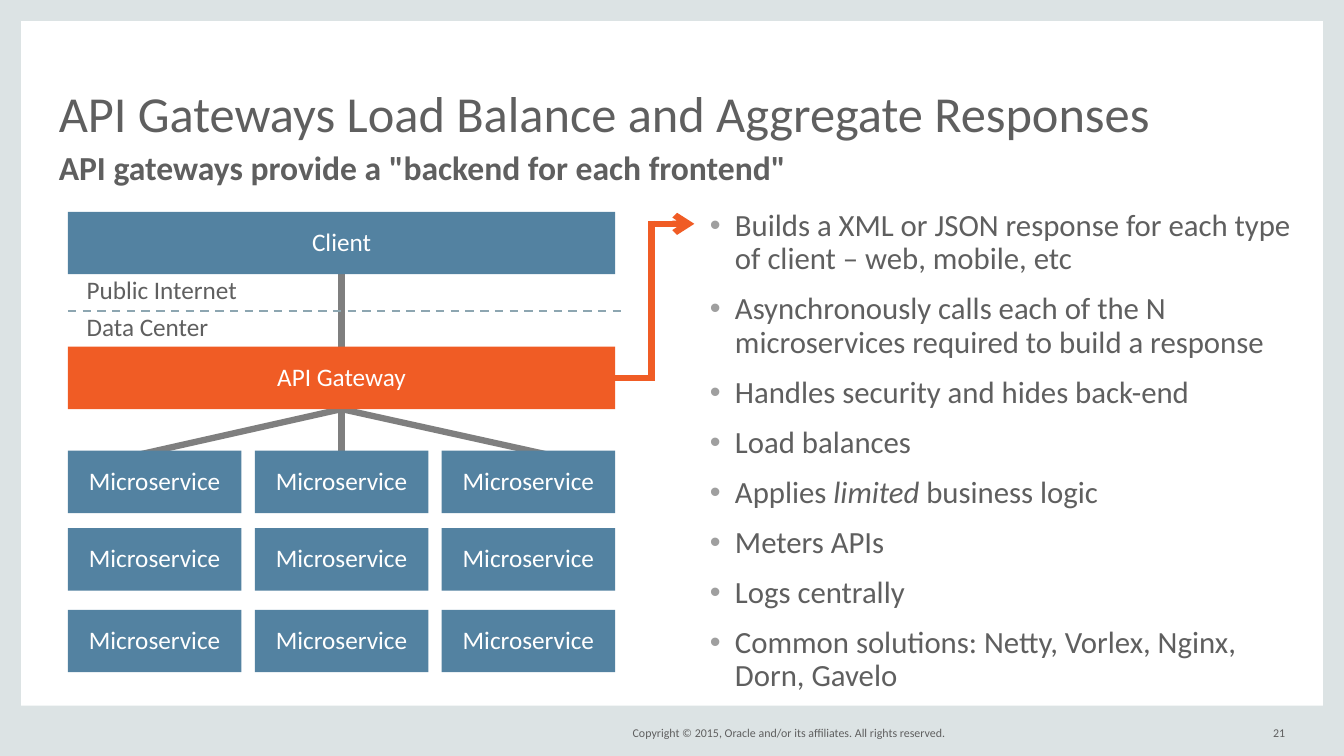
import pptx
import pptx.util
import pptx.dml.color
import pptx.enum.dml
import pptx.enum.shapes
import pptx.enum.text
import pptx.oxml.ns
from dataclasses import dataclass
from lxml import etree

Pt = pptx.util.Pt
Align = pptx.enum.text.PP_ALIGN
Anchor = pptx.enum.text.MSO_ANCHOR


@dataclass(frozen=True)
class Theme:
    """Colours, font and type sizes of the deck."""
    font: str = "Calibri"
    text: str = "5F5F5F"
    white: str = "FFFFFF"
    edge: str = "DCE3E4"
    blue: str = "5382A1"
    orange: str = "F05C25"
    grey: str = "7F7F7F"
    dash: str = "8DA6B1"
    dot: str = "9F9F9F"
    title: float = 36
    sub: float = 24
    body: float = 22
    label: float = 18
    foot: float = 8.5
    thick: float = 4.5
    thin: float = 1.5


THEME = Theme()
POINTS = (
    "Builds a XML or JSON response for each type of client – web, mobile, etc",
    "Asynchronously calls each of the N microservices required to build a response",
    "Handles security and hides back-end",
    "Load balances",
    "Applies *limited* business logic",
    "Meters APIs",
    "Logs centrally",
    "Common solutions: Netty, Vorlex, Nginx, Dorn, Gavelo",
)


def rgb(code):
    """Turn a hex code into a colour."""
    return pptx.dml.color.RGBColor.from_string(code)


def child(node, tag, **attrs):
    """Append a drawing element to a node."""
    return etree.SubElement(node, pptx.oxml.ns.qn(tag), **attrs)


def style(para, size, color, space=None, bold=False):
    """Format the runs and line spacing of a paragraph."""
    if space:
        para.line_spacing = space
    for run in para.runs:
        run.font.name = THEME.font
        run.font.size = Pt(size)
        run.font.bold = bold
        run.font.color.rgb = rgb(color)


def write(slide, box, text, size, space=None, bold=False, wrap=True,
          anchor=Anchor.TOP, align=Align.LEFT, inset=(0, 0)):
    """Place one line of text in a box."""
    frame = slide.shapes.add_textbox(*map(Pt, box)).text_frame
    frame.word_wrap = wrap
    frame.vertical_anchor = anchor
    frame.margin_left = frame.margin_right = Pt(inset[0])
    frame.margin_top = frame.margin_bottom = Pt(inset[1])
    frame.text = text
    para = frame.paragraphs[0]
    para.alignment = align
    style(para, size, THEME.text, space, bold)


def block(slide, box, color, text=""):
    """Draw a filled rectangle, with centred text if given."""
    kind = pptx.enum.shapes.MSO_SHAPE.RECTANGLE
    shape = slide.shapes.add_shape(kind, *map(Pt, box))
    shape.shadow.inherit = False
    shape.fill.solid()
    shape.fill.fore_color.rgb = rgb(color)
    shape.line.fill.background()
    if text:
        frame = shape.text_frame
        frame.vertical_anchor = Anchor.MIDDLE
        frame.text = text
        frame.paragraphs[0].alignment = Align.CENTER
        style(frame.paragraphs[0], THEME.label, THEME.white, 0.9)
    return shape


def link(slide, start, end, color, width=THEME.thick):
    """Draw a straight line between two points."""
    kind = pptx.enum.shapes.MSO_CONNECTOR.STRAIGHT
    line = slide.shapes.add_connector(kind, *map(Pt, start + end))
    line.line.color.rgb = rgb(color)
    line.line.width = Pt(width)
    child(line._element.spPr, "a:effectLst")
    return line


def border(slide, box):
    """Draw the pale frame and the footer."""
    x, y, w, h = box
    side, foot = 15, 36
    for part in ((x, y, side, h), (x + w - side, y, side, h),
                 (x, y + h - foot, w, foot), (x, y, w, side)):
        block(slide, part, THEME.edge)
    note = "Copyright © 2015, Oracle and/or its affiliates. All rights reserved."
    for left, wide, text in ((423.4, 252, note), (888, 30, "21")):
        write(slide, (x + left, y + h - 23.8, wide, 14.4), text, THEME.foot,
              wrap=False, anchor=Anchor.MIDDLE, align=Align.RIGHT)


def header(slide, box):
    """Write the title and the subtitle."""
    x, y, w, h = box
    write(slide, (x, y, w, 70), "API Gateways Load Balance and Aggregate Responses",
          THEME.title, 0.8, anchor=Anchor.BOTTOM)
    write(slide, (x, y + h - 27, w, 27),
          'API gateways provide a "backend for each frontend"',
          THEME.sub, 0.9, bold=True)


def diagram(slide, box):
    """Draw the client, the gateway and the grid of services."""
    x, y, w, h = box
    tall, wide, gate, split = 44.6, 124, 96.3, 70.6
    pitch, mid = (w - wide) / 2, x + w / 2
    rows = (170.6, 226, h - tall)
    foot = gate + tall
    trunk = link(slide, (mid, y + tall), (mid, y + gate), THEME.grey)
    fan = [link(slide, (mid, y + foot), (mid + dx, y + rows[0] + 3), THEME.grey)
           for dx in (-145.5, 0, 148)]
    rule = link(slide, (x, y + split), (x + w + 7, y + split), THEME.dash, THEME.thin)
    rule.line.dash_style = pptx.enum.dml.MSO_LINE.DASH
    for top, wid, text in ((41, 124, "Public Internet"), (67.7, 103, "Data Center")):
        write(slide, (x + 6.3, y + top, wid, 29), text, THEME.label,
              wrap=False, inset=(7.2, 3.6))
    client = block(slide, (x, y, w, tall), THEME.blue, "Client")
    api = block(slide, (x, y + gate, w, tall), THEME.orange, "API Gateway")
    grid = [block(slide, (x + col * pitch, y + top, wide, tall),
                  THEME.blue, "Microservice")
            for top in rows for col in range(3)]
    trunk.begin_connect(client, 2)
    trunk.end_connect(api, 0)
    for line in fan:
        line.begin_connect(api, 2)
    fan[1].end_connect(grid[1], 0)
    return api


def callout(slide, box, api):
    """Lead an arrow from the gateway up to the list."""
    x, y, w, h = box
    bend, half = x + 25.8, THEME.thick / 2
    foot = link(slide, (x, y + h), (bend + half, y + h), THEME.orange)
    foot.begin_connect(api, 3)
    tip = link(slide, (bend - half, y), (x + w, y), THEME.orange)
    child(tip.line._get_or_add_ln(), "a:tailEnd", type="arrow")
    link(slide, (bend, y - half), (bend, y + h + half), THEME.orange)


def bullets(slide, box):
    """Write the list of gateway duties."""
    frame = slide.shapes.add_textbox(*map(Pt, box)).text_frame
    frame.word_wrap = True
    frame.margin_left = frame.margin_right = 0
    frame.margin_top = frame.margin_bottom = 0
    for rank, text in enumerate(POINTS):
        para = frame.add_paragraph() if rank else frame.paragraphs[0]
        prop = para._p.get_or_add_pPr()
        prop.set("marL", str(Pt(18)))
        prop.set("indent", str(-Pt(18)))
        child(child(prop, "a:buClr"), "a:srgbClr", val=THEME.dot)
        child(prop, "a:buFont", typeface="Arial")
        child(prop, "a:buChar", char="•")
        for turn, part in enumerate(text.split("*")):
            run = para.add_run()
            run.text = part
            run.font.italic = turn == 1
        style(para, THEME.body, THEME.text, 0.9)
        if rank:
            para.space_before = Pt(12)


def main():
    """Build and save the slide."""
    deck = pptx.Presentation()
    deck.slide_width, deck.slide_height = Pt(960), Pt(540)
    slide = deck.slides.add_slide(deck.slide_layouts[6])
    border(slide, (0, 0, 960, 540))
    header(slide, (42, 31.5, 876, 103.5))
    api = diagram(slide, (48.5, 151.3, 391, 328.9))
    bullets(slide, (507, 150, 427.5, 312))
    callout(slide, (439.5, 159.9, 56.5, 110), api)
    deck.save("out.pptx")


if __name__ == "__main__":
    main()
